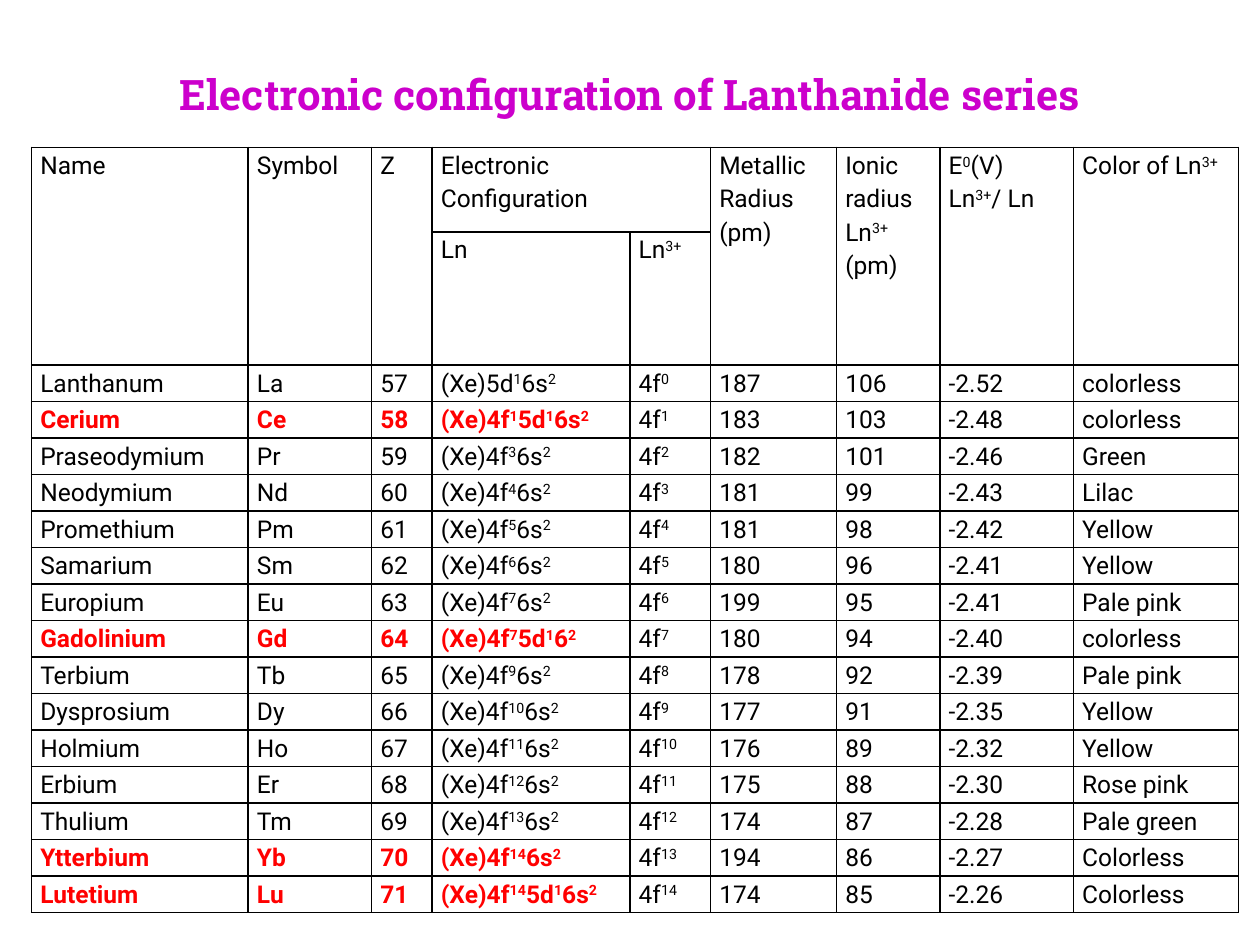
from lxml import etree
from pptx import Presentation
from pptx.dml.color import RGBColor
from pptx.enum.text import MSO_ANCHOR, PP_ALIGN
from pptx.oxml.ns import qn
from pptx.util import Inches, Pt

MIDDLE = MSO_ANCHOR.MIDDLE
CENTER = PP_ALIGN.CENTER
JUSTIFY = PP_ALIGN.JUSTIFY

BLACK = RGBColor(0x00, 0x00, 0x00)
RED = RGBColor(0xFF, 0x00, 0x00)
PURPLE = RGBColor(0xCC, 0x00, 0xCC)

TITLE = "Electronic configuration of Lanthanide series"
HEADINGS = [
    "Name", "Symbol", "Z", "Electronic Configuration", "",
    "Metallic Radius (pm)", "Ionic radius Ln^3+ ^(pm)",
    "E^0^(V) \nLn^3+^/ Ln", "Color of Ln^3+",
]
SUBHEADINGS = {3: "Ln", 4: "Ln^3+"}
ELEMENTS = [
    ("Lanthanum", "La", "5d^1^6s^2", "187", "106", "-2.52", "colorless"),
    ("Cerium", "Ce", "4f^1^5d^1^6s^2", "183", "103", "-2.48", "colorless"),
    ("Praseodymium", "Pr", "4f^3^6s^2", "182", "101", "-2.46", "Green"),
    ("Neodymium", "Nd", "4f^4^6s^2", "181", "99", "-2.43", "Lilac"),
    ("Promethium", "Pm", "4f^5^6s^2", "181", "98", "-2.42", "Yellow"),
    ("Samarium", "Sm", "4f^6^6s^2", "180", "96", "-2.41", "Yellow"),
    ("Europium", "Eu", "4f^7^6s^2", "199", "95", "-2.41", "Pale pink"),
    ("Gadolinium", "Gd", "4f^7^5d^1^6^2", "180", "94", "-2.40", "colorless"),
    ("Terbium", "Tb", "4f^9^6s^2", "178", "92", "-2.39", "Pale pink"),
    ("Dysprosium", "Dy", "4f^10^6s^2", "177", "91", "-2.35", "Yellow"),
    ("Holmium", "Ho", "4f^11^6s^2", "176", "89", "-2.32", "Yellow"),
    ("Erbium", "Er", "4f^12^6s^2", "175", "88", "-2.30", "Rose pink"),
    ("Thulium", "Tm", "4f^13^6s^2", "174", "87", "-2.28", "Pale green"),
    ("Ytterbium", "Yb", "4f^14^6s^2", "194", "86", "-2.27", "Colorless"),
    ("Lutetium", "Lu", "4f^14^5d^1^6s^2", "174", "85", "-2.26", "Colorless"),
]
HIGHLIGHTED = {"Ce", "Gd", "Yb", "Lu"}
HIGHLIGHTED_COLUMNS = 4
FIRST_Z = 57

COLUMN_WIDTHS = [1.72, 0.98, 0.48, 1.57, 0.64, 1, 0.82, 1.06, 1.31]
ROW_HEIGHTS = [0.67, 0.48] + [0.29] * len(ELEMENTS)


def add_span(para, text, font_name, size, color, bold):
    span = para.add_run()
    span.text = text
    span.font.name = font_name
    span.font.size = Pt(size)
    span.font.color.rgb = color
    span.font.bold = bold
    return span


def draw_borders(cell):
    properties = cell._tc.get_or_add_tcPr()
    for side in ("a:lnL", "a:lnR", "a:lnT", "a:lnB"):
        line = etree.SubElement(properties, qn(side), w=str(Pt(1)))
        fill = etree.SubElement(line, qn("a:solidFill"))
        etree.SubElement(fill, qn("a:srgbClr"), val=str(BLACK))


def write_cell(cell, text, color=BLACK, bold=False):
    frame = cell.text_frame
    for number, line in enumerate(text.split("\n")):
        para = frame.add_paragraph() if number else frame.paragraphs[0]
        para.alignment = JUSTIFY
        para.line_spacing = 1.15
        for position, part in enumerate(line.split("^")):
            if part:
                span = add_span(para, part, "Roboto", 14, color, bold)
                if position % 2:
                    span.font._element.set("baseline", "30000")


def add_title(page):
    box = page.shapes.title
    box.left, box.top = Inches(0.25), Inches(0.33)
    box.width, box.height = Inches(9.5), Inches(0.83)
    box.text_frame.vertical_anchor = MIDDLE
    para = box.text_frame.paragraphs[0]
    para.alignment = CENTER
    add_span(para, TITLE, "Roboto Slab", 24, PURPLE, True)


def add_element_table(page):
    table = page.shapes.add_table(
        len(ROW_HEIGHTS), len(COLUMN_WIDTHS), Inches(0.25), Inches(1.17),
        Inches(sum(COLUMN_WIDTHS)), Inches(sum(ROW_HEIGHTS)),
    ).table
    table.first_row = False
    table.horz_banding = False
    for column, width in zip(table.columns, COLUMN_WIDTHS):
        column.width = Inches(width)
    for row, height in zip(table.rows, ROW_HEIGHTS):
        row.height = Inches(height)
    for cell in table.iter_cells():
        cell.margin_left = cell.margin_right = Inches(0.07)
        cell.margin_top = cell.margin_bottom = 0
        draw_borders(cell)
        cell.fill.background()

    for column, heading in enumerate(HEADINGS):
        write_cell(table.cell(0, column), heading)
        if column in SUBHEADINGS:
            write_cell(table.cell(1, column), SUBHEADINGS[column])
        else:
            table.cell(0, column).merge(table.cell(1, column))
    table.cell(0, 3).merge(table.cell(0, 4))

    for index, (name, symbol, shells, *measures) in enumerate(ELEMENTS):
        values = [name, symbol, str(FIRST_Z + index), f"(Xe){shells}", f"4f^{index}", *measures]
        for column, value in enumerate(values):
            marked = symbol in HIGHLIGHTED and column < HIGHLIGHTED_COLUMNS
            write_cell(table.cell(index + 2, column), value, RED if marked else BLACK, marked)


def main():
    deck = Presentation()
    deck.slide_width, deck.slide_height = Inches(10), Inches(7.5)
    page = deck.slides.add_slide(deck.slide_layouts[5])
    add_title(page)
    add_element_table(page)
    deck.save("out.pptx")


if __name__ == "__main__":
    main()
